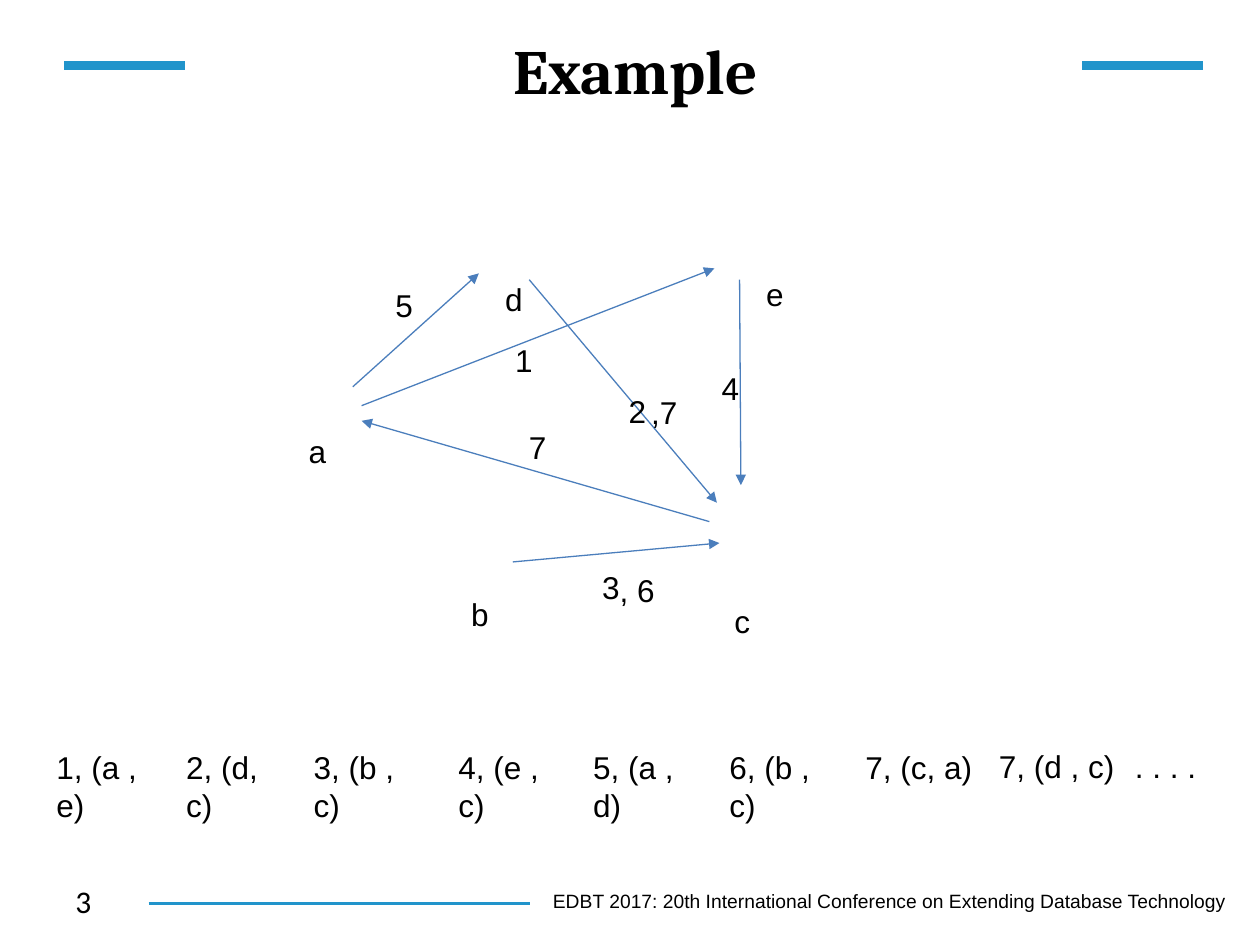
from lxml.etree import SubElement
from pptx import Presentation
from pptx.dml.color import RGBColor
from pptx.enum.shapes import MSO_CONNECTOR
from pptx.enum.text import MSO_ANCHOR, MSO_AUTO_SIZE, PP_ALIGN
from pptx.oxml.ns import qn
from pptx.util import Inches, Pt

ACCENT = "2194CB"
ARROW = "4B7EBC"


def write(shape, text, size=18, font="Arial", color="000000", bold=False,
          align=PP_ALIGN.LEFT, anchor=MSO_ANCHOR.TOP, wrap=True,
          auto_size=MSO_AUTO_SIZE.SHAPE_TO_FIT_TEXT):
    frame = shape.text_frame
    frame.text = text
    frame.word_wrap = wrap
    frame.auto_size = auto_size
    frame.vertical_anchor = anchor
    paragraph = frame.paragraphs[0]
    paragraph.alignment = align
    paragraph.font.size = Pt(size)
    paragraph.font.name = font
    paragraph.font.bold = bold
    paragraph.font.color.rgb = RGBColor.from_string(color)


def draw_line(start, end, color, width, arrow=False):
    line = slide.shapes.add_connector(
        MSO_CONNECTOR.STRAIGHT, *(Inches(value) for value in (*start, *end)))
    line.line.color.rgb = RGBColor.from_string(color)
    line.line.width = Pt(width)
    if arrow:
        SubElement(line.line._get_or_add_ln(), qn("a:tailEnd"), type="triangle")
    SubElement(line._element.spPr, qn("a:effectLst"))


presentation = Presentation()
presentation.slide_width = Inches(10)
presentation.slide_height = Inches(7.5)
slide = presentation.slides.add_slide(presentation.slide_layouts[5])

# Title, with a bar on each side, and the footer rule
title = slide.shapes.title
title.left, title.top = Inches(1.54), Inches(0.13)
title.width, title.height = Inches(7.01), Inches(0.84)
write(title, "Example", size=36, font="Cambria", bold=True,
      align=PP_ALIGN.CENTER, anchor=MSO_ANCHOR.MIDDLE,
      auto_size=MSO_AUTO_SIZE.NONE)

for left in (0.51, 8.59):
    draw_line((left, 0.52), (left + 0.96, 0.52), ACCENT, 5)
draw_line((1.18, 7.17), (4.21, 7.17), ACCENT, 1.5)

footer = slide.shapes.add_textbox(Inches(4.29), Inches(7.01), Inches(5.6), Inches(0.29))
write(footer, "EDBT 2017: 20th International Conference on Extending Database Technology",
      size=11, wrap=False)
page_number = slide.shapes.add_textbox(Inches(0.5), Inches(6.95), Inches(2.33), Inches(0.4))
write(page_number, "3", font="Calibri", auto_size=MSO_AUTO_SIZE.NONE)

# Graph edges
edges = [
    ((2.87, 3.22), (5.67, 2.13)),  # a to e
    ((4.2, 2.22), (5.69, 3.99)),   # d to c
    ((4.07, 4.46), (5.71, 4.31)),  # b to c
    ((5.87, 2.22), (5.88, 3.85)),  # e to c
    ((2.8, 3.07), (3.8, 2.17)),    # a to d
    ((5.63, 4.14), (2.87, 3.34)),  # c to a
]
for start, end in edges:
    draw_line(start, end, ARROW, 0.75, arrow=True)

# Text, left, top, width
node_labels = [
    ("a", 2.35, 3.38, 0.32),
    ("b", 3.64, 4.67, 0.34),
    ("c", 5.73, 4.73, 0.29),
    ("e", 6.02, 2.13, 0.16),
    ("d", 3.91, 2.17, 0.29),
]
edge_labels = [
    ("1", 3.99, 2.66, 0.33),
    ("4", 5.63, 2.88, 0.33),
    ("3", 4.68, 4.46, 0.33),
    ("2", 4.89, 3.06, 0.33),
    ("5", 3.04, 2.22, 0.33),
    (", 6", 4.82, 4.48, 0.48),
    ("7", 4.1, 3.35, 0.46),
    (",7", 5.07, 3.07, 0.41),
]
edge_stream = [
    ("1, (a , e)", 0.35, 5.89, 1.03),
    ("2, (d, c)", 1.38, 5.89, 0.97),
    ("3, (b , c)", 2.39, 5.89, 1.02),
    ("4, (e , c)", 3.54, 5.89, 1.02),
    ("5, (a , d)", 4.61, 5.89, 1.04),
    ("6, (b , c)", 5.69, 5.89, 1.02),
    ("7, (c, a)", 6.77, 5.89, 1.06),
    ("7, (d , c)", 7.83, 5.88, 1.13),
    (". . . .", 8.91, 5.88, 1.57),
]
for text, left, top, width in node_labels + edge_labels + edge_stream:
    label = slide.shapes.add_textbox(Inches(left), Inches(top), Inches(width), Inches(0.4))
    write(label, text)

presentation.save("out.pptx")
